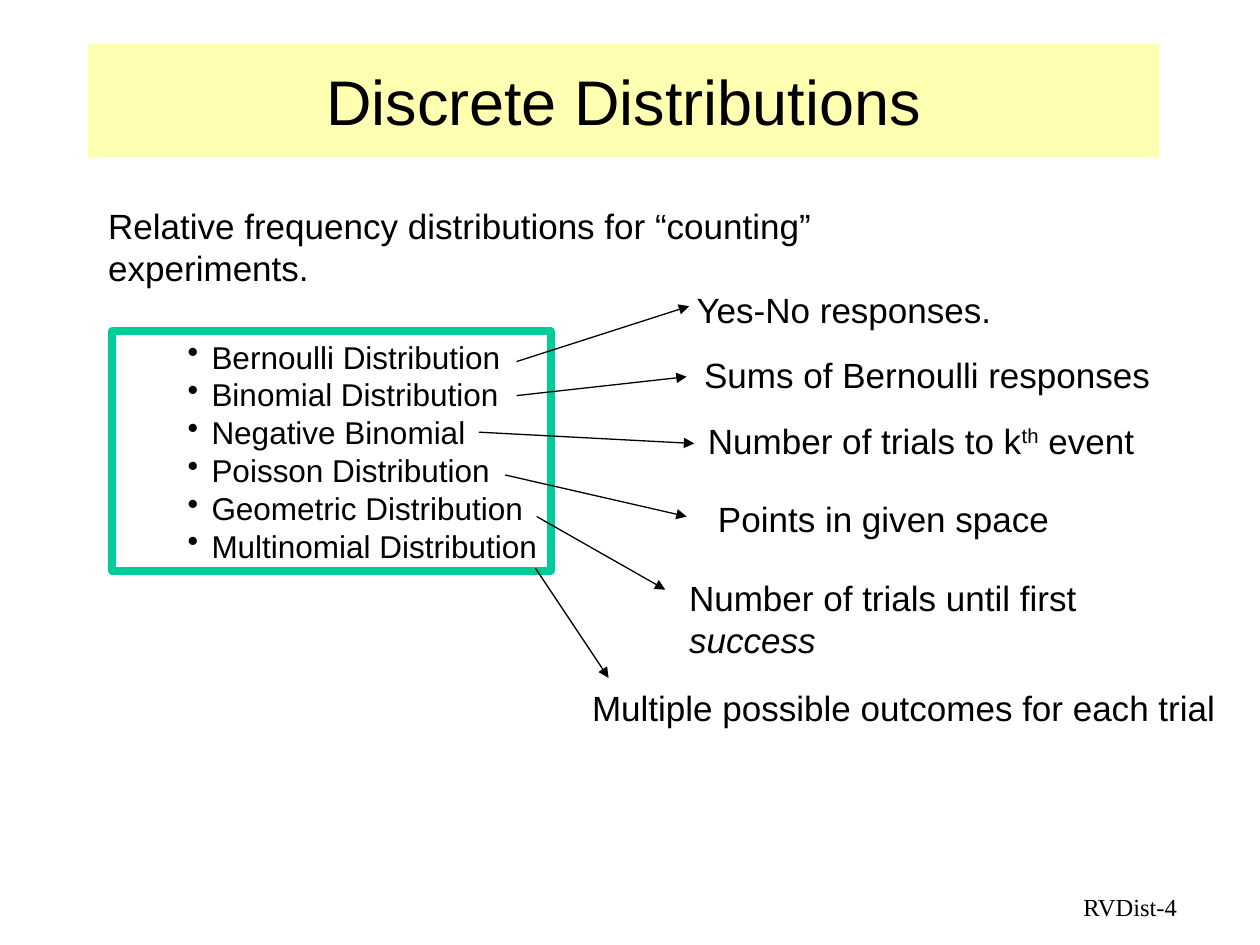
from pptx import Presentation
from pptx.dml.color import RGBColor
from pptx.enum.shapes import MSO_CONNECTOR as Connector, MSO_SHAPE as Shape
from pptx.enum.text import MSO_ANCHOR as Anchor, MSO_AUTO_SIZE as AutoSize, PP_ALIGN as Align
from pptx.oxml.ns import qn
from pptx.util import Inches, Pt
from lxml.etree import SubElement

BLACK = "000000"
GREEN = "00CC99"
YELLOW = "FFFF66"

DISTRIBUTIONS = [
    "Bernoulli Distribution",
    "Binomial Distribution",
    "Negative Binomial",
    "Poisson Distribution",
    "Geometric Distribution",
    "Multinomial Distribution",
]

# Text runs with style, text box, wrapping, arrow start, arrow end
MEANINGS = [
    ([("Yes-No responses.", "")],
     (5.43, 2.24, 2.56, 0.44), False, (4.1, 2.87), (5.47, 2.43)),
    ([("Sums of Bernoulli responses", "")],
     (5.49, 2.76, 3.74, 0.44), False, (4.1, 3.14), (5.45, 2.99)),
    ([("Number of trials to k", ""), ("th", "super"), (" event", "")],
     (5.52, 3.28, 3.58, 0.44), False, (3.8, 3.43), (5.51, 3.52)),
    ([("Points in given space", "")],
     (5.6, 3.9, 2.83, 0.44), False, (4.01, 3.77), (5.45, 4.1)),
    ([("Number of trials until first ", ""), ("success", "italic")],
     (5.37, 4.53, 4.29, 0.77), True, (4.26, 4.1), (5.28, 4.68)),
    ([("Multiple possible outcomes for each trial", "")],
     (4.6, 5.4, 5.15, 0.44), False, (4.25, 4.51), (4.83, 5.38)),
]


def color(hex_string):
    return RGBColor.from_string(hex_string)


def inches(values):
    return [Inches(value) for value in values]


def style_paragraph(paragraph, size, font="Arial", align=Align.LEFT):
    paragraph.alignment = align
    paragraph.font.size = Pt(size)
    paragraph.font.name = font
    paragraph.font.color.rgb = color(BLACK)


def add_text(shapes, box, runs, size=20, font="Arial", align=Align.LEFT, wrap=False):
    label = shapes.add_textbox(*inches(box))
    label.text_frame.word_wrap = wrap
    paragraph = label.text_frame.paragraphs[0]
    for text, style in runs:
        run = paragraph.add_run()
        run.text = text
        if style == "italic":
            run.font.italic = True
        elif style == "super":
            run._r.get_or_add_rPr().set("baseline", "30000")
    style_paragraph(paragraph, size, font, align)


def add_arrow(shapes, start, end):
    arrow = shapes.add_connector(Connector.STRAIGHT, *inches(start + end))
    arrow.line.color.rgb = color(BLACK)
    arrow.line.width = Pt(0.75)
    SubElement(arrow.line._get_or_add_ln(), qn("a:tailEnd"), type="triangle")
    SubElement(arrow._element.spPr, qn("a:effectLst"))


def add_rectangle(shapes, box):
    rectangle = shapes.add_shape(Shape.RECTANGLE, *inches(box))
    rectangle.shadow.inherit = False
    return rectangle


def add_title(shapes, text):
    banner = add_rectangle(shapes, (0.7, 0.35, 8.5, 0.9))
    banner.fill.solid()
    banner.fill.fore_color.rgb = color(YELLOW)
    fill_color = banner._element.spPr.find(qn("a:solidFill"))[0]
    SubElement(fill_color, qn("a:alpha"), val="50000")
    banner.line.fill.background()
    banner.text_frame.vertical_anchor = Anchor.MIDDLE
    banner.text_frame.text = text
    style_paragraph(banner.text_frame.paragraphs[0], 36, align=Align.CENTER)


def add_bullet(paragraph):
    properties = paragraph._p.get_or_add_pPr()
    properties.set("marL", str(Inches(0.69)))
    properties.set("indent", str(Inches(-0.19)))
    SubElement(properties, qn("a:buChar"), char="•")


def add_distribution_list(shapes, names):
    frame = add_rectangle(shapes, (0.89, 2.63, 3.48, 1.9))
    frame.fill.background()
    frame.line.color.rgb = color(GREEN)
    frame.line.width = Pt(4.5)
    body = frame.text_frame
    body.word_wrap = False
    body.auto_size = AutoSize.SHAPE_TO_FIT_TEXT
    body.vertical_anchor = Anchor.TOP
    body.text = "\n".join(names)
    for paragraph in body.paragraphs:
        paragraph.level = 1
        add_bullet(paragraph)
        style_paragraph(paragraph, 18)


def main():
    deck = Presentation()
    deck.slide_width, deck.slide_height = Inches(10), Inches(7.5)
    shapes = deck.slides.add_slide(deck.slide_layouts[6]).shapes

    # Page label
    add_text(shapes, (7.17, 7.03, 2.27, 0.3), [("RVDist-4", "")], size=14,
             font="Times New Roman", align=Align.RIGHT, wrap=True)

    # Distributions and introduction
    add_distribution_list(shapes, DISTRIBUTIONS)
    add_text(shapes, (0.76, 1.57, 7.45, 0.44),
             [("Relative frequency distributions for “counting” experiments.", "")])

    # Meaning of each distribution, grouped with its arrow
    for runs, box, wrap, start, end in MEANINGS:
        meaning = shapes.add_group_shape()
        add_text(meaning.shapes, box, runs, wrap=wrap)
        add_arrow(meaning.shapes, start, end)

    # Title banner
    add_title(shapes, "Discrete Distributions")

    deck.save("out.pptx")


if __name__ == "__main__":
    main()
